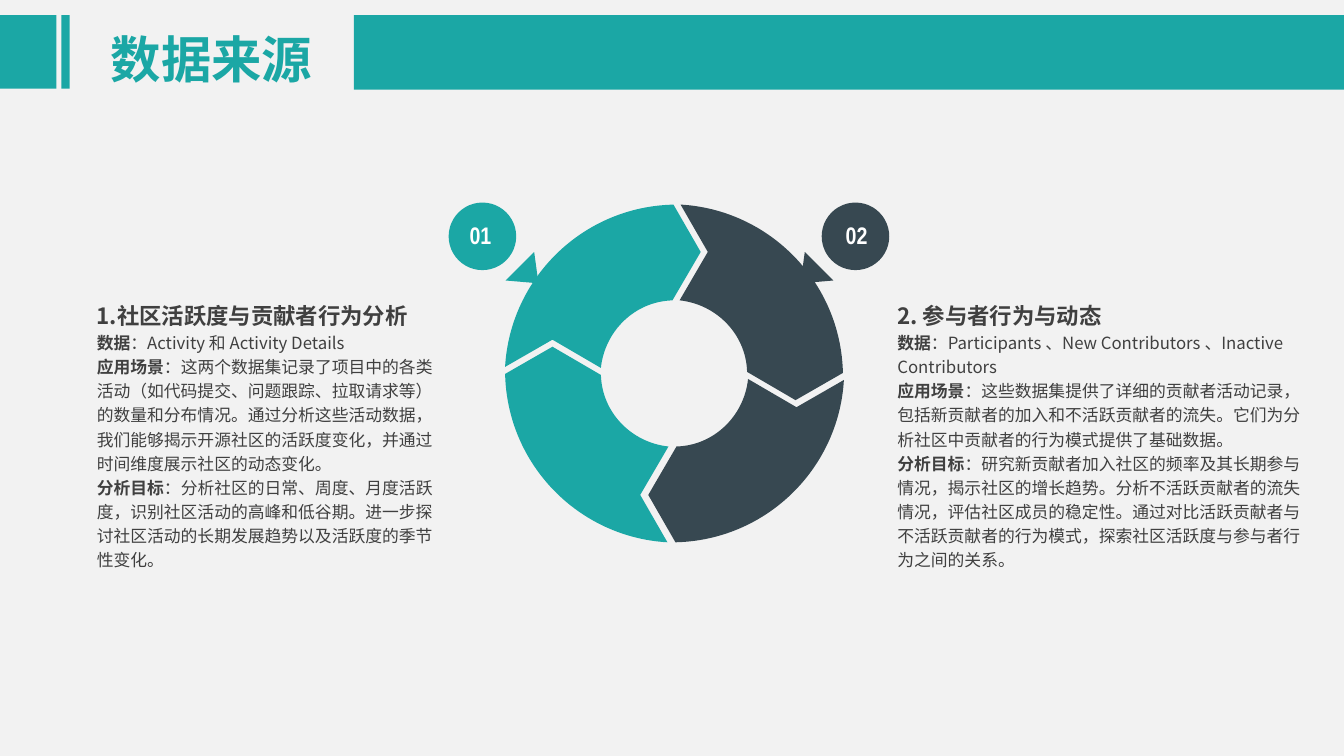
from math import cos, pi, sin

from lxml import etree
from pptx import Presentation
from pptx.dml.color import RGBColor
from pptx.enum.shapes import MSO_SHAPE
from pptx.enum.text import MSO_ANCHOR, MSO_AUTO_SIZE, PP_ALIGN
from pptx.oxml.ns import qn
from pptx.util import Inches, Pt

COLORS = {"background": "F2F2F2", "teal": "1BA7A5", "slate": "374851",
          "body": "404040", "white": "FFFFFF"}
CJK_FONT = "Noto Sans CJK SC"
NUMBER_FONT = "Arial Narrow"

# Ring arrow around the ring center: two arcs, each followed by a corner
RING_ARROW = [(1.67, -0.01), (1.65, -0.91), (0.94, -1.63), (0.06, -1.68),
              (0.33, -1.21),
              (0.05, -0.73), (0.42, -0.69), (0.71, -0.39), (0.72, -0.02),
              (1.2, 0.26)]
ARC_STARTS = (0, 5)  # positions in RING_ARROW where an arc begins

ACTIVITY = [
    ("数据", "：Activity 和 Activity Details"),
    ("应用场景", "：这两个数据集记录了项目中的各类活动（如代码提交、问题跟踪、拉取请求等）"
     "的数量和分布情况。通过分析这些活动数据，我们能够揭示开源社区的活跃度变化，"
     "并通过时间维度展示社区的动态变化。"),
    ("分析目标", "：分析社区的日常、周度、月度活跃度，识别社区活动的高峰和低谷期。"
     "进一步探讨社区活动的长期发展趋势以及活跃度的季节性变化。"),
]
PARTICIPANTS = [
    ("数据", "：Participants 、New Contributors 、Inactive Contributors"),
    ("应用场景", "：这些数据集提供了详细的贡献者活动记录，包括新贡献者的加入和不活跃贡献者的流失。"
     "它们为分析社区中贡献者的行为模式提供了基础数据。"),
    ("分析目标", "：研究新贡献者加入社区的频率及其长期参与情况，揭示社区的增长趋势。"
     "分析不活跃贡献者的流失情况，评估社区成员的稳定性。"
     "通过对比活跃贡献者与不活跃贡献者的行为模式，探索社区活跃度与参与者行为之间的关系。"),
]


def rgb(color):
    return RGBColor.from_string(COLORS[color])


def paint(shape, color):
    shape.shadow.inherit = False
    shape.fill.solid()
    shape.fill.fore_color.rgb = rgb(color)
    shape.line.fill.background()


def add_block(slide, preset, left, top, width, height, color):
    block = slide.shapes.add_shape(preset, Inches(left), Inches(top),
                                   Inches(width), Inches(height))
    paint(block, color)


def add_outline(slide, points, left, top, color):
    corners = [(Inches(x), Inches(y)) for x, y in points]
    builder = slide.shapes.build_freeform(*corners[0], scale=1.0)
    builder.add_line_segments(corners[1:], close=True)
    outline = builder.convert_to_shape()
    outline.left, outline.top = Inches(left), Inches(top)
    paint(outline, color)
    return outline


def bend(outline, arc_starts):
    """Turn the three segments after each arc start into one curve."""
    segments = list(outline._element.iter(qn("a:lnTo")))
    for start in arc_starts:
        first, *others = segments[start:start + 3]
        first.tag = qn("a:cubicBezTo")
        for segment in others:
            first.append(segment[0])
            segment.getparent().remove(segment)


def add_frame(slide, left, top, width, height, anchor, insets):
    box = slide.shapes.add_textbox(Inches(left), Inches(top),
                                   Inches(width), Inches(height))
    frame = box.text_frame
    frame.word_wrap = True
    frame.vertical_anchor = anchor
    side, vertical = insets
    frame.margin_left = frame.margin_right = Inches(side)
    frame.margin_top = frame.margin_bottom = Inches(vertical)
    return frame


def add_run(paragraph, text, size, color, bold=True, typeface=CJK_FONT):
    run = paragraph.add_run()
    run.text = text
    font = run.font
    font.size, font.bold, font.name = Pt(size), bold, typeface
    font.color.rgb = rgb(color)
    east_asian = etree.SubElement(run._r.get_or_add_rPr(), qn("a:ea"))
    east_asian.set("typeface", typeface)


def add_title(slide, text):
    frame = add_frame(slide, 1, 0.15, 2.51, 0.74, MSO_ANCHOR.MIDDLE, (0.1, 0.05))
    paragraph = frame.paragraphs[0]
    paragraph.line_spacing = 1.2
    add_run(paragraph, text, 36, "teal")


def add_description(slide, left, width, heading, details):
    frame = add_frame(slide, left, 2.94, width, 2.74, MSO_ANCHOR.TOP, (0, 0))
    frame.auto_size = MSO_AUTO_SIZE.SHAPE_TO_FIT_TEXT
    paragraph = frame.paragraphs[0]
    paragraph.line_spacing = 1.2
    add_run(paragraph, heading, 16, "body")
    for label, detail in details:
        paragraph = frame.add_paragraph()
        paragraph.line_spacing = 1.2
        add_run(paragraph, label, 12, "body")
        add_run(paragraph, detail, 12, "body", bold=False)


def add_marker(slide, color, circle_left, pointer_left, mirrored):
    add_block(slide, MSO_SHAPE.OVAL, circle_left, 2.01, 0.67, 0.67, color)
    base, tip = (0, 0.25) if mirrored else (0.25, 0)
    pointer = add_outline(slide, [(base, 0), (base, 0.4), (tip, 0.19)],
                          pointer_left, 2.53, color)
    pointer.rotation = 45 if mirrored else 315


def add_number(slide, text, left):
    frame = add_frame(slide, left, 2.08, 0.65, 0.5, MSO_ANCHOR.MIDDLE, (0, 0.09))
    paragraph = frame.paragraphs[0]
    paragraph.alignment = PP_ALIGN.CENTER
    add_run(paragraph, text, 17.1, "white", typeface=NUMBER_FONT)


def add_ring_arrow(slide, quarter_turns, left, top, color):
    turn = quarter_turns * pi / 2
    points = [(x * cos(turn) - y * sin(turn), x * sin(turn) + y * cos(turn))
              for x, y in RING_ARROW]
    bend(add_outline(slide, points, left, top, color), ARC_STARTS)


def main():
    prs = Presentation()
    prs.slide_width, prs.slide_height = Inches(13.33), Inches(7.5)
    slide = prs.slides.add_slide(prs.slide_layouts[6])

    # Backdrop, header bands and title
    add_block(slide, MSO_SHAPE.RECTANGLE, 0, 0, 13.33, 7.5, "background")
    for left, width, height in [(0, 0.56, 0.73), (0.61, 0.08, 0.73),
                                (3.51, 9.82, 0.74)]:
        add_block(slide, MSO_SHAPE.RECTANGLE, left, 0.15, width, height, "teal")
    add_title(slide, "数据来源")

    # Descriptions on both sides
    add_description(slide, 0.96, 3.49, "1.社区活跃度与贡献者行为分析", ACTIVITY)
    add_description(slide, 8.9, 4.15, "2. 参与者行为与动态", PARTICIPANTS)

    # Numbered markers
    add_marker(slide, "slate", 8.15, 7.91, mirrored=False)
    add_marker(slide, "teal", 4.45, 5.12, mirrored=True)
    add_number(slide, "01", 4.44)
    add_number(slide, "02", 8.17)

    # Ring of four arrows
    for quarter_turns, left, top, color in [(2, 5.01, 3.44, "teal"),
                                            (1, 6.43, 3.76, "slate"),
                                            (0, 6.74, 2.03, "slate"),
                                            (3, 5.01, 2.03, "teal")]:
        add_ring_arrow(slide, quarter_turns, left, top, color)

    prs.save("out.pptx")


if __name__ == "__main__":
    main()
